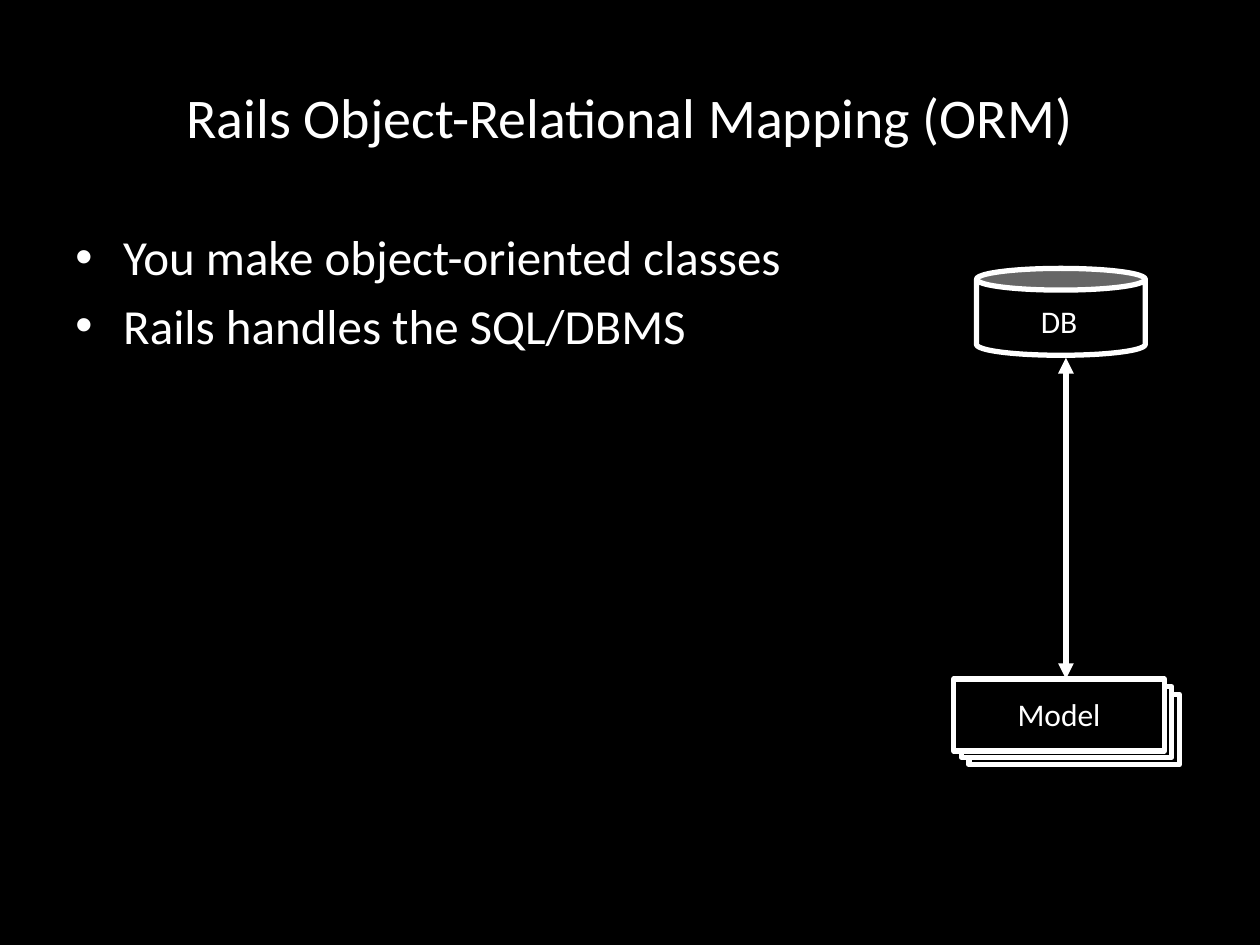
"""Build a slide on how Rails maps model classes to a database."""
from pptx import Presentation
from pptx.dml.color import RGBColor
from pptx.enum.shapes import MSO_CONNECTOR as CONNECTOR, MSO_SHAPE as SHAPE
from pptx.enum.text import MSO_ANCHOR as ANCHOR, PP_ALIGN as ALIGN
from pptx.oxml.ns import qn
from pptx.util import Inches, Pt
from lxml.etree import SubElement

BLACK = RGBColor(0x00, 0x00, 0x00)
WHITE = RGBColor(0xFF, 0xFF, 0xFF)
LINE_WIDTH = Pt(3)


def style_text(paragraph, size, align):
    paragraph.alignment = align
    font_format = {"name": "Calibri", "size": Pt(size)}
    for attribute, value in font_format.items():
        setattr(paragraph.font, attribute, value)
    paragraph.font.color.rgb = WHITE


def add_part(group, kind, box, label=None, label_box=None):
    part = group.shapes.add_shape(kind, *map(Inches, box))
    part.shadow.inherit = False
    part.fill.solid()
    part.fill.fore_color.rgb = BLACK
    part.line.color.rgb = WHITE
    part.line.width = LINE_WIDTH
    if label:
        caption = group.shapes.add_textbox(*map(Inches, label_box)).text_frame
        caption.word_wrap = False
        caption.text = label
        style_text(caption.paragraphs[0], 18, ALIGN.CENTER)


deck = Presentation()
deck.slide_width, deck.slide_height = Inches(10), Inches(7.5)
slide = deck.slides.add_slide(deck.slide_layouts[5])
slide.background.fill.solid()
slide.background.fill.fore_color.rgb = BLACK

title = slide.shapes.title
title_place = {"left": 0.5, "top": 0.3, "width": 9, "height": 1.25}
for attribute, value in title_place.items():
    setattr(title, attribute, Inches(value))
title.text_frame.text = "Rails Object-Relational Mapping (ORM)"
title.text_frame.vertical_anchor = ANCHOR.MIDDLE
style_text(title.text_frame.paragraphs[0], 32, ALIGN.CENTER)

points = slide.shapes.add_textbox(Inches(0.5), Inches(1.75), Inches(9), Inches(4.95)).text_frame
points.word_wrap = True
points.text = "You make object-oriented classes\nRails handles the SQL/DBMS"
for index, point in enumerate(points.paragraphs):
    properties = point._p.get_or_add_pPr()
    properties.set("marL", str(Inches(0.38)))
    properties.set("indent", str(-Inches(0.38)))
    SubElement(properties, qn("a:buFont"), typeface="Arial")
    SubElement(properties, qn("a:buChar"), char="•")
    style_text(point, 28, ALIGN.LEFT)
    point.space_before = Pt(5.6 if index else 0)

models = slide.shapes.add_group_shape()
for depth in (2, 1):
    offset = 0.06 * depth
    add_part(models, SHAPE.RECTANGLE, (7.57 + offset, 5.39 + offset, 1.67, 0.56))
add_part(models, SHAPE.RECTANGLE, (7.57, 5.39, 1.67, 0.57), "Model", (7.97, 5.47, 0.87, 0.4))

database = slide.shapes.add_group_shape()
add_part(database, SHAPE.CAN, (7.75, 2.13, 1.34, 0.69), "DB", (8.08, 2.35, 0.65, 0.4))

mapping = slide.shapes.add_connector(
    CONNECTOR.STRAIGHT, Inches(8.46), Inches(5.39), Inches(8.46), Inches(2.84))
mapping.line.color.rgb = WHITE
mapping.line.width = LINE_WIDTH
for end in ("a:headEnd", "a:tailEnd"):
    SubElement(mapping.line._get_or_add_ln(), qn(end), type="triangle")
SubElement(mapping._element.spPr, qn("a:effectLst"))

deck.save("out.pptx")
